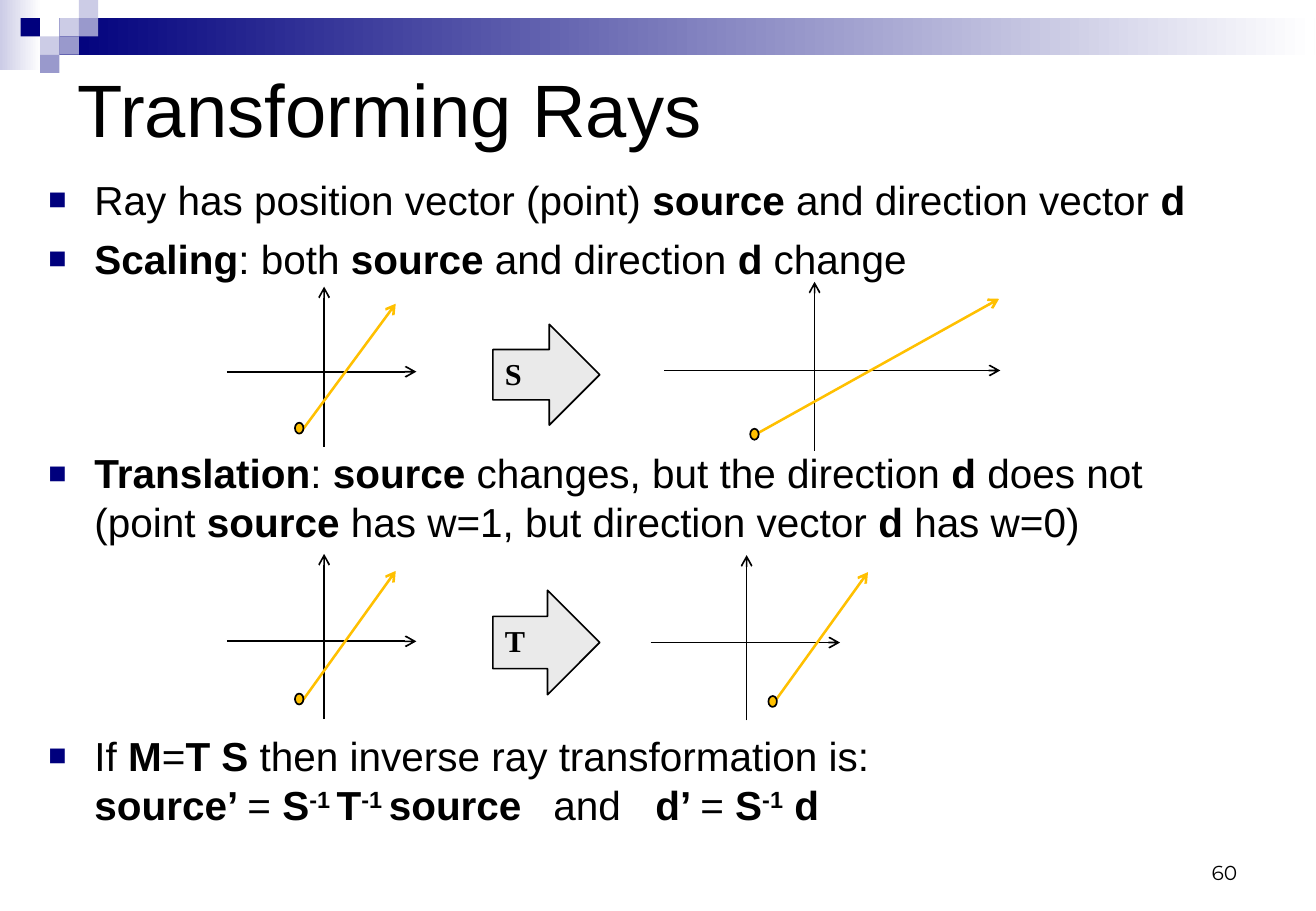
from lxml import etree
from pptx import Presentation
from pptx.dml.color import RGBColor
from pptx.enum.shapes import MSO_CONNECTOR, MSO_SHAPE
from pptx.enum.text import MSO_ANCHOR, PP_ALIGN
from pptx.oxml.ns import qn
from pptx.util import Inches, Pt

STRAIGHT = MSO_CONNECTOR.STRAIGHT
RECTANGLE = MSO_SHAPE.RECTANGLE
OVAL = MSO_SHAPE.OVAL
RIGHT_ARROW = MSO_SHAPE.RIGHT_ARROW
TOP, MIDDLE, BOTTOM = MSO_ANCHOR.TOP, MSO_ANCHOR.MIDDLE, MSO_ANCHOR.BOTTOM
LEFT, RIGHT = PP_ALIGN.LEFT, PP_ALIGN.RIGHT

BLACK, NAVY, LILAC, VIOLET = "000000", "00007D", "CCCCE6", "9999CC"
WHITE, GOLD, GREY = "FFFFFF", "FFC000", "EAEAEA"

SQUARES = [(3, 1, LILAC), (4, 0, LILAC), (4, 1, VIOLET), (2, 2, LILAC),
           (1, 1, NAVY), (3, 2, VIOLET), (2, 3, VIOLET)]

BULLETS = [
    (0, [("Ray has position vector (point) ", ""), ("source", "b"),
         (" and direction vector ", ""), ("d", "b")]),
    (6, [("Scaling", "b"), (": both ", ""), ("source", "b"),
         (" and direction ", ""), ("d", "b"), (" change", "")]),
    (98.5, [("Translation", "b"), (": ", ""), ("source", "b"),
            (" changes, but the direction ", ""), ("d", "b"),
            (" does not\v(point ", ""), ("source", "b"),
            (" has w=1, but direction vector ", ""), ("d", "b"),
            (" has w=0)", "")]),
    (110, [("If ", ""), ("M", "b"), ("=", ""), ("T S", "b"),
           (" then inverse ray transformation is:\v", ""),
           ("source’ ", "b"), ("= ", ""), ("S", "b"), ("-1 ", "b^"),
           ("T", "b"), ("-1 ", "b^"), ("source", "b"), ("\tand\t", ""),
           ("d’ ", "b"), ("= ", ""), ("S", "b"), ("-1", "b^"),
           (" d", "b")]),
]
TAB_STOPS = (4.16, 5.0)

RAY_DIAGRAMS = [
    dict(vertical=(2.67, 3.68, 2.36), horizontal=(1.87, 3.43, 3.06),
         ray=(2.47, 3.57, 3.26, 2.5), source=(2.43, 3.48)),
    dict(vertical=(6.71, 3.71, 2.32), horizontal=(5.47, 8.24, 3.05),
         ray=(6.2, 3.59, 8.23, 2.46), source=(6.18, 3.53)),
    dict(vertical=(2.67, 5.92, 4.56), horizontal=(1.87, 3.43, 5.28),
         ray=(2.47, 5.8, 3.26, 4.7), source=(2.43, 5.71)),
    dict(vertical=(6.15, 5.93, 4.57), horizontal=(5.36, 6.92, 5.29),
         ray=(6.35, 5.82, 7.15, 4.71), source=(6.33, 5.73)),
]


def color(hex_code):
    """Turn a hex string into a colour."""
    return RGBColor.from_string(hex_code)


class SlideBuilder:
    """Hold the current slide and its style, and add elements to it."""

    def __init__(self, slide, font="Arial"):
        """Keep the slide and its main font."""
        self.slide = slide
        self.font = font

    def style_run(self, run, size, bold=False, font=None):
        """Give a run its font, size and weight."""
        run.font.name = font or self.font
        run.font.size = Pt(size)
        run.font.bold = bold
        run.font.color.rgb = color(BLACK)

    def label(self, shape, text, size, anchor, align=LEFT, bold=False, font=None):
        """Write one line of text in a shape."""
        frame = shape.text_frame
        frame.text = text
        frame.word_wrap = True
        frame.vertical_anchor = anchor
        paragraph = frame.paragraphs[0]
        paragraph.alignment = align
        self.style_run(paragraph.runs[0], size, bold, font)

    def title(self, text, left, top, width, height):
        """Place and fill the title placeholder."""
        title = self.slide.shapes.title
        title.left, title.top = Inches(left), Inches(top)
        title.width, title.height = Inches(width), Inches(height)
        self.label(title, text, 44, MIDDLE)

    def text_box(self, left, top, width, height):
        """Add an empty wrapping text box."""
        box = self.slide.shapes.add_textbox(
            Inches(left), Inches(top), Inches(width), Inches(height))
        box.text_frame.word_wrap = True
        return box

    def shape(self, kind, left, top, width, height, fill, outline=None):
        """Add a preset shape; a pair of fills makes a gradient."""
        shape = self.slide.shapes.add_shape(
            kind, Inches(left), Inches(top), Inches(width), Inches(height))
        shape.shadow.inherit = False
        if isinstance(fill, tuple):
            shape.fill.gradient()
            shape.fill.gradient_angle = 0
            for stop, hex_code in zip(shape.fill.gradient_stops, fill):
                stop.color.rgb = color(hex_code)
        else:
            shape.fill.solid()
            shape.fill.fore_color.rgb = color(fill)
        if outline:
            shape.line.color.rgb = color(outline)
            shape.line.width = Pt(1)
        else:
            shape.line.fill.background()
        return shape

    def arrow(self, start_x, start_y, end_x, end_y, hex_code=BLACK, width=1):
        """Add a line with an open arrowhead at its end."""
        connector = self.slide.shapes.add_connector(
            STRAIGHT, Inches(start_x), Inches(start_y), Inches(end_x), Inches(end_y))
        connector.line.color.rgb = color(hex_code)
        connector.line.width = Pt(width)
        etree.SubElement(connector.line._get_or_add_ln(), qn("a:tailEnd"), type="arrow")
        etree.SubElement(connector._element.spPr, qn("a:effectLst"))

    def ray_diagram(self, vertical, horizontal, ray, source):
        """Draw a pair of axes with a ray and its source point."""
        x, bottom, top = vertical
        left, right, y = horizontal
        self.arrow(x, bottom, x, top)
        self.arrow(left, y, right, y)
        self.arrow(*ray, GOLD, 1.5)
        self.shape(OVAL, *source, 0.07, 0.09, GOLD, BLACK)

    def transform_arrow(self, letter, top, height):
        """Add a block arrow named after its transformation."""
        shape = self.shape(RIGHT_ARROW, 4.06, top, 0.88, height, GREY, BLACK)
        self.label(shape, letter, 18, TOP, bold=True, font="Times New Roman")

    def bullets(self, items, left, top, width, height):
        """Add a bulleted list of mixed runs."""
        frame = self.text_box(left, top, width, height).text_frame
        for index, (space_before, runs) in enumerate(items):
            paragraph = frame.add_paragraph() if index else frame.paragraphs[0]
            paragraph.space_before = Pt(space_before)
            self.bullet_format(paragraph)
            for text, marks in runs:
                self.add_run(paragraph, text, marks)

    def bullet_format(self, paragraph):
        """Set the hanging indent, square bullet and tab stops."""
        properties = paragraph._p.get_or_add_pPr()
        properties.set("marL", str(Inches(0.38)))
        properties.set("indent", str(-Inches(0.38)))
        bullet_color = etree.SubElement(properties, qn("a:buClr"))
        etree.SubElement(bullet_color, qn("a:srgbClr"), val=NAVY)
        etree.SubElement(properties, qn("a:buSzPct"), val="75000")
        etree.SubElement(properties, qn("a:buFont"), typeface=self.font)
        etree.SubElement(properties, qn("a:buChar"), char="■")
        tabs = etree.SubElement(properties, qn("a:tabLst"))
        for position in TAB_STOPS:
            etree.SubElement(tabs, qn("a:tab"), pos=str(Inches(position)), algn="l")

    def add_run(self, paragraph, text, marks):
        """Add a run, with line breaks, bold (b) and superscript (^)."""
        for index, part in enumerate(text.split("\v")):
            if index:
                paragraph.add_line_break()
            if part:
                run = paragraph.add_run()
                run.text = part
                self.style_run(run, 24, "b" in marks)
                if "^" in marks:
                    run.font._element.set("baseline", "30000")


def main():
    """Build the slide and save it."""
    presentation = Presentation()
    presentation.slide_width = Inches(10.84)
    presentation.slide_height = Inches(7.5)
    builder = SlideBuilder(presentation.slides.add_slide(presentation.slide_layouts[5]))

    builder.shape(RECTANGLE, 0, 0, 0.34, 0.58, (LILAC, WHITE))
    builder.shape(RECTANGLE, 0.49, 0.15, 10.34, 0.3, (NAVY, WHITE))
    for column, row, fill in SQUARES:
        builder.shape(RECTANGLE, 0.01 + 0.16 * column, 0.15 * row, 0.16, 0.15, fill)

    builder.title("Transforming Rays", 0.54, 0.5, 9.75, 0.78)
    builder.bullets(BULLETS, 0.3, 1.39, 10.22, 5.62)
    for diagram in RAY_DIAGRAMS:
        builder.ray_diagram(**diagram)
    builder.transform_arrow("S", 2.67, 0.83)
    builder.transform_arrow("T", 4.86, 0.86)
    builder.label(builder.text_box(7.76, 6.83, 2.53, 0.5), "60", 12, BOTTOM, RIGHT,
                  font="Montserrat")
    presentation.save("out.pptx")


if __name__ == "__main__":
    main()
